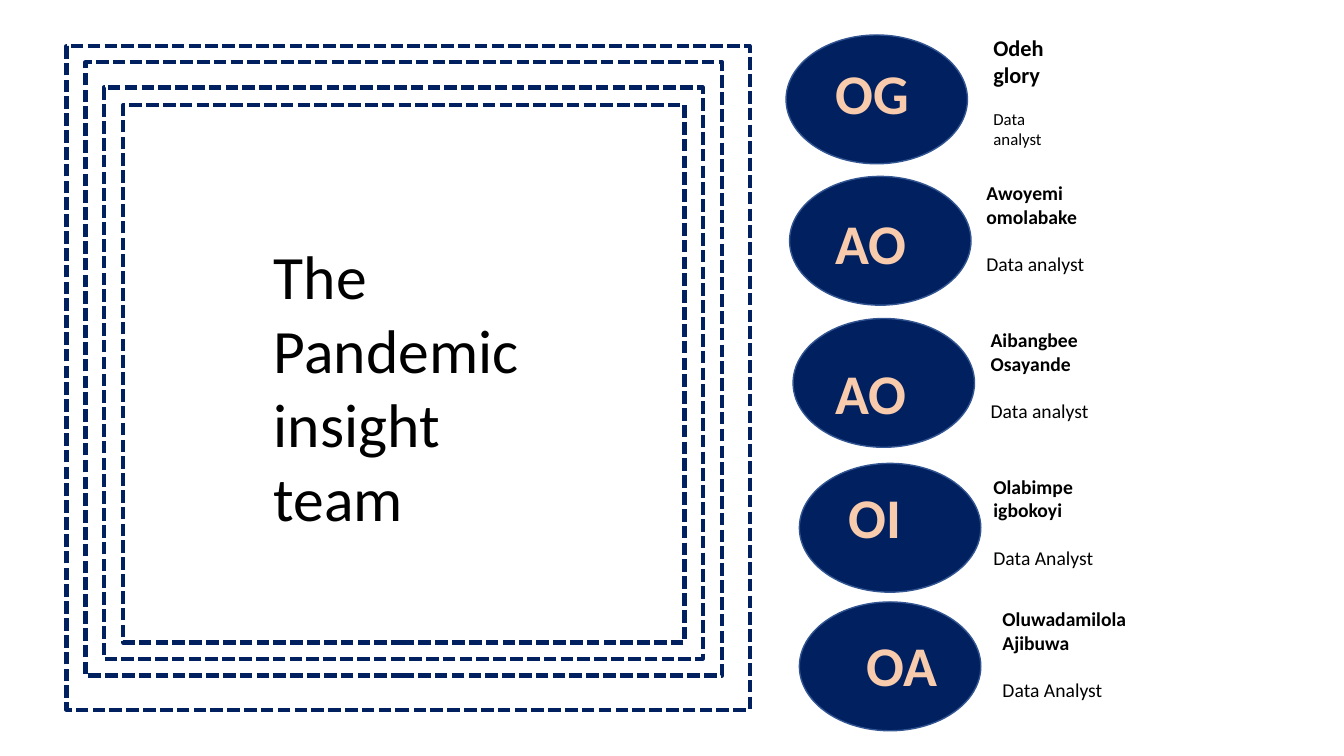
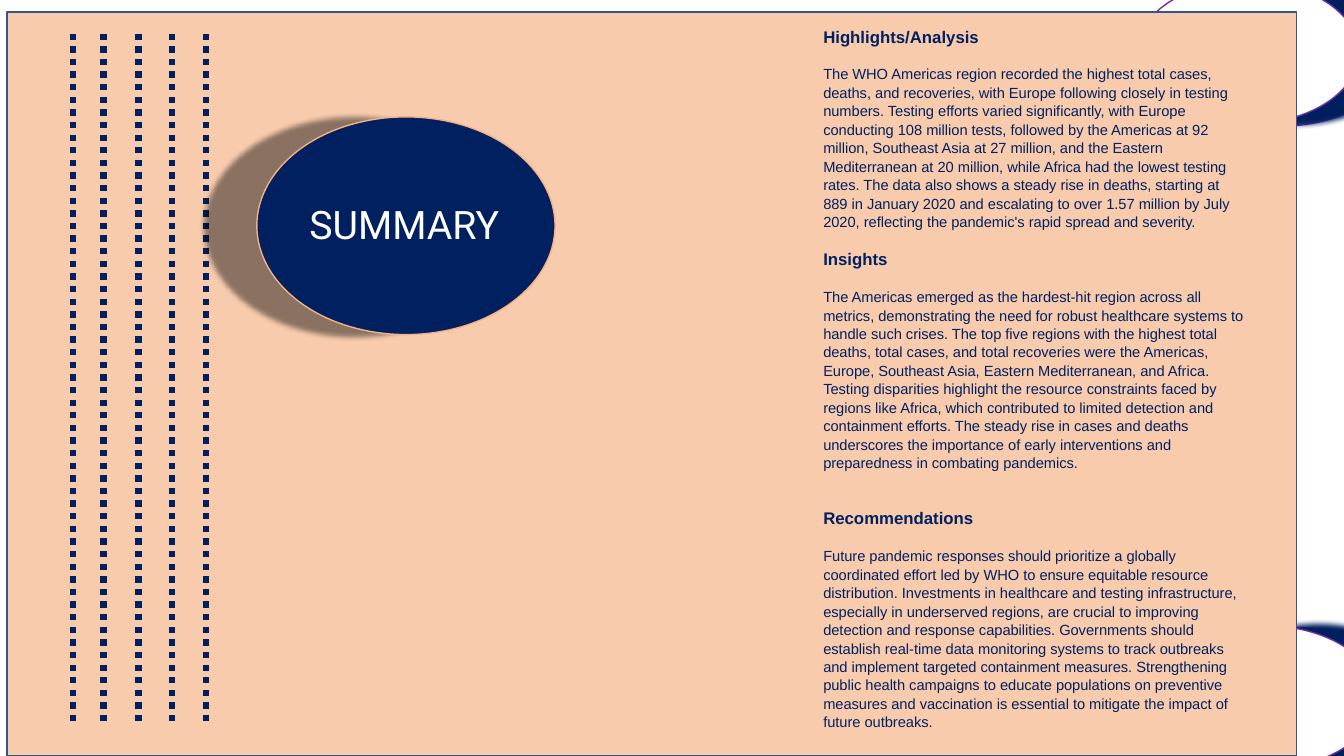
import pptx
import pptx.util
import pptx.dml.color
import pptx.enum.dml
import pptx.enum.shapes
import pptx.oxml
import pptx.oxml.ns

Pt = pptx.util.Pt
RGBColor = pptx.dml.color.RGBColor
SHAPES = pptx.enum.shapes.MSO_SHAPE
DASHES = pptx.enum.dml.MSO_LINE

# Shared look
NAVY = RGBColor(0x00, 0x20, 0x60)
PEACH = RGBColor(0xF8, 0xCB, 0xAD)
ORANGE = RGBColor(0xF4, 0xB1, 0x83)
BLUE = RGBColor(0x32, 0x54, 0x91)
PURPLE = RGBColor(0x70, 0x30, 0xA0)
WHITE = RGBColor(0xFF, 0xFF, 0xFF)
BLACK = RGBColor(0x00, 0x00, 0x00)
NAMESPACE = pptx.oxml.ns.nsdecls("a")

# Team slide: frames as left, top, width, height
FRAMES = [
    (47.5, 33, 488, 474),
    (61, 44.5, 455, 438),
    (74, 62.5, 428, 408),
    (88, 75, 401, 384),
]
BADGE_SIZE = (129.6, 92)
# Badge corner, initials and their offset, name and role, their offset and width
MEMBERS = [
    ((561.5, 25), "OG", (28, 13), "Odeh glory", "Data analyst", (141, -4), 62),
    ((564, 126), "AO", (25.5, 19.5), "Awoyemi omolabake", "Data analyst", (133.5, 0), 89),
    ((566.5, 227.5), "AO", (23, 25), "Aibangbee Osayande", "Data analyst", (134, 3.5), 104),
    ((571, 331), "OI", (28, 10), "Olabimpe igbokoyi", "Data Analyst", (131.5, 4.5), 111),
    ((571, 430), "OA", (41, 16.5), "Oluwadamilola Ajibuwa", "Data Analyst", (138, 0), 111),
]

# Summary slide
DOTTED_LINES = (52, 74, 99, 123, 147)
CORNER_RINGS = [(812, -13.5, 34), (825, 447, 37)]
# Heading, space above it, body
SECTIONS = [
    ("Highlights/Analysis", 0,
     "The WHO Americas region recorded the highest total cases, deaths, and recoveries, "
     "with Europe following closely in testing numbers. Testing efforts varied "
     "significantly, with Europe conducting 108 million tests, followed by the Americas "
     "at 92 million, Southeast Asia at 27 million, and the Eastern Mediterranean at 20 "
     "million, while Africa had the lowest testing rates. The data also shows a steady "
     "rise in deaths, starting at 889 in January 2020 and escalating to over 1.57 million "
     "by July 2020, reflecting the pandemic's rapid spread and severity."),
    ("Insights", 12.6,
     "The Americas emerged as the hardest-hit region across all metrics, demonstrating "
     "the need for robust healthcare systems to handle such crises. The top five regions "
     "with the highest total deaths, total cases, and total recoveries were the Americas, "
     "Europe, Southeast Asia, Eastern Mediterranean, and Africa. Testing disparities "
     "highlight the resource constraints faced by regions like Africa, which contributed "
     "to limited detection and containment efforts. The steady rise in cases and deaths "
     "underscores the importance of early interventions and preparedness in combating "
     "pandemics."),
    ("Recommendations", 25.2,
     "Future pandemic responses should prioritize a globally coordinated effort led by "
     "WHO to ensure equitable resource distribution. Investments in healthcare and "
     "testing infrastructure, especially in underserved regions, are crucial to improving "
     "detection and response capabilities. Governments should establish real-time data "
     "monitoring systems to track outbreaks and implement targeted containment measures. "
     "Strengthening public health campaigns to educate populations on preventive measures "
     "and vaccination is essential to mitigate the impact of future outbreaks."),
]


def add_shape(page, kind, box, fill, line, width=1, dash=None):
    shape = page.shapes.add_shape(kind, *map(Pt, box))
    shape.shadow.inherit = False
    shape.fill.solid()
    shape.fill.fore_color.rgb = fill
    shape.line.color.rgb = line
    shape.line.width = Pt(width)
    if dash:
        shape.line.dash_style = dash
    return shape


def add_shadow(shape, color, opacity, distance, angle):
    effects = shape._element.spPr.find(pptx.oxml.ns.qn("a:effectLst"))
    effects.append(pptx.oxml.parse_xml(
        f'<a:outerShdw {NAMESPACE} blurRad="{Pt(4)}" dist="{Pt(distance)}" '
        f'dir="{angle * 60000}" algn="ctr" rotWithShape="0"><a:srgbClr val="{color}">'
        f'<a:alpha val="{opacity * 1000}"/></a:srgbClr></a:outerShdw>'))


def add_text(page, box, lines, font, color):
    """Each line is text, size, bold, space before."""
    text_box = page.shapes.add_textbox(*map(Pt, box))
    frame = text_box.text_frame
    frame.word_wrap = True
    frame.text = "\n".join(line[0] for line in lines)
    for para, (_, size, bold, before) in zip(frame.paragraphs, lines):
        if before:
            para.space_before = Pt(before)
        for span in para.runs:
            span.font.name = font
            span.font.size = Pt(size)
            span.font.bold = bold
            span.font.color.rgb = color
    return frame


def add_member(page, corner, initials, initials_offset, name, role, name_offset, name_width):
    left, top = corner
    add_shape(page, SHAPES.OVAL, (left, top, *BADGE_SIZE), NAVY, BLUE)

    # Initials with a white outline
    dx, dy = initials_offset
    frame = add_text(page, (left + dx, top + dy, 73.5, 55.5),
                     [(initials, 40, True, 0)], "Calibri", PEACH)
    frame.paragraphs[0].runs[0].font._element.insert(0, pptx.oxml.parse_xml(
        f'<a:ln {NAMESPACE} w="{Pt(1.75)}"><a:solidFill><a:srgbClr val="{WHITE}"/>'
        '</a:solidFill></a:ln>'))

    # Name and role; the narrow box has its own sizes
    dx, dy = name_offset
    name_size, role_size, gap = (16, 12, 14.6) if name_width < 80 else (14, 14, 17)
    add_text(page, (left + dx, top + dy, name_width, 75),
             [(name, name_size, True, 0), (role, role_size, False, gap)], "Calibri", BLACK)


def build_team(page):
    for box in FRAMES:
        add_shape(page, SHAPES.RECTANGLE, box, WHITE, NAVY, 3, DASHES.SQUARE_DOT)
    set_sys_dash(page.shapes, "sysDash")
    add_text(page, (188.5, 166.5, 239, 220),
             [("The Pandemic insight\vteam", 44, False, 0)], "Calibri", BLACK)
    for member in MEMBERS:
        add_member(page, *member)


def set_sys_dash(shapes, value):
    for shape in shapes:
        for dash in shape._element.iter(pptx.oxml.ns.qn("a:prstDash")):
            dash.set("val", value)


def add_corner_ring(page, left, top, distance):
    size = (158.5, 102)
    add_shape(page, SHAPES.OVAL, (left + 25, top + 1.5, *size), PURPLE, PURPLE)
    ring = add_shape(page, SHAPES.OVAL, (left, top, *size), WHITE, PURPLE)
    add_shadow(ring, NAVY, 100, distance, 359)


def add_dotted_line(page, x, top, bottom):
    line = page.shapes.add_connector(pptx.enum.shapes.MSO_CONNECTOR.STRAIGHT,
                                     Pt(x), Pt(top), Pt(x), Pt(bottom))
    line.line.color.rgb = NAVY
    line.line.width = Pt(4.5)
    line.line.dash_style = DASHES.ROUND_DOT
    line._element.spPr.append(pptx.oxml.parse_xml(f"<a:effectLst {NAMESPACE}/>"))
    set_sys_dash([line], "sysDot")


def add_sections(page, box):
    lines = []
    for heading, before, body in SECTIONS:
        lines += [(heading, 12, True, before), (body, 10.5, False, 12.6)]
    frame = add_text(page, box, lines, "Arial", NAVY)
    for para in frame.paragraphs:
        para.line_spacing = 1.05


def build_summary(page):
    # Backdrop
    for ring in CORNER_RINGS:
        add_corner_ring(page, *ring)
    add_shape(page, SHAPES.RECTANGLE, (5, 8.5, 921, 531.5), PEACH, BLUE)
    for x in DOTTED_LINES:
        add_dotted_line(page, x, 24, 515.5)

    # Title badge
    badge = add_shape(page, SHAPES.OVAL, (183.5, 83.5, 213, 155.5), NAVY, ORANGE)
    add_shadow(badge, BLACK, 43, 37, 179)
    add_text(page, (214, 139.5, 155, 41), [("SUMMARY", 28, False, 0)], "Roboto", WHITE)

    add_sections(page, (581, 14.5, 316, 510))


def main():
    deck = pptx.Presentation()
    deck.slide_width, deck.slide_height = Pt(960), Pt(540)
    for build in (build_team, build_summary):
        build(deck.slides.add_slide(deck.slide_layouts[6]))
    deck.save("out.pptx")


if __name__ == "__main__":
    main()
